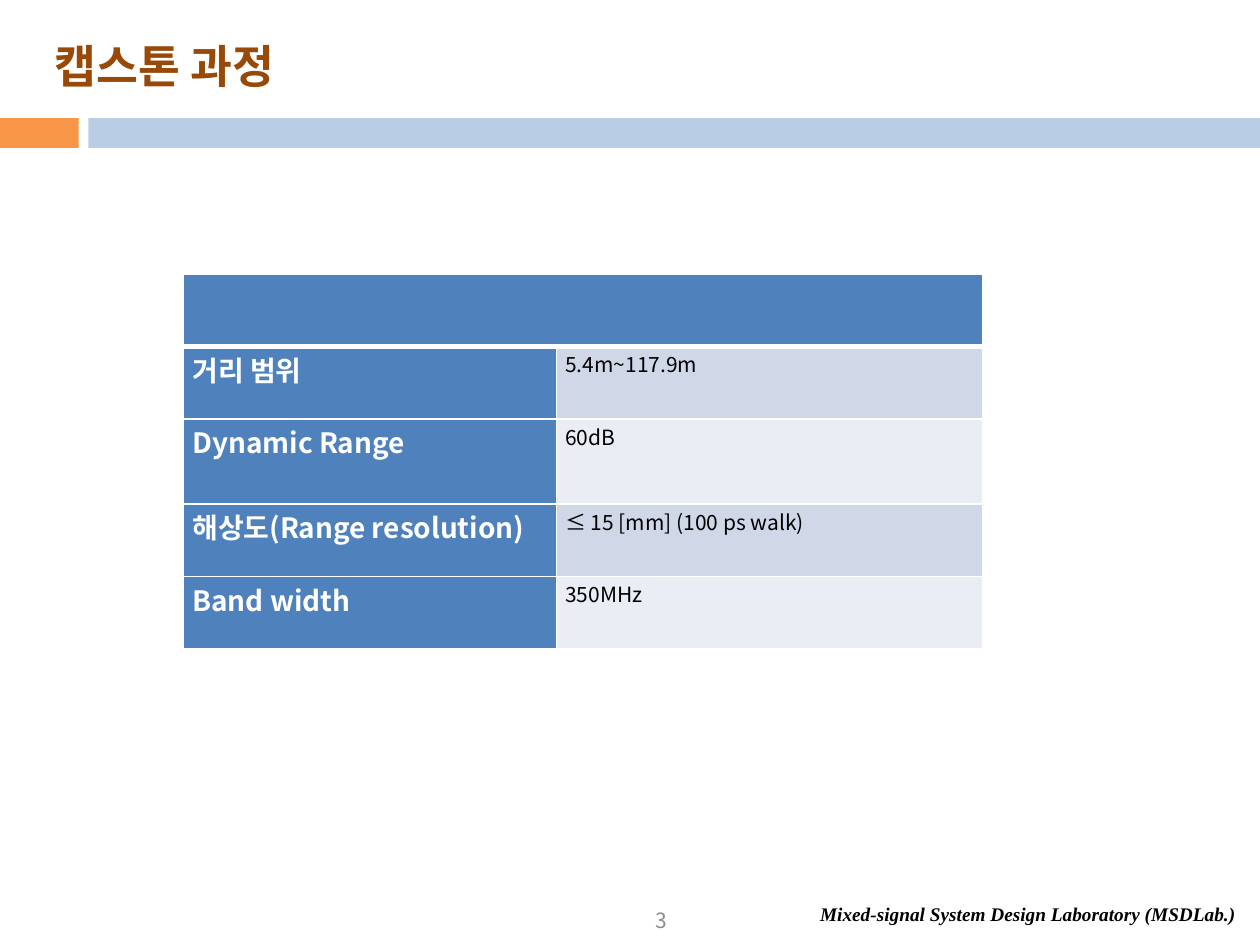
from dataclasses import dataclass

from lxml.etree import SubElement
from pptx import Presentation
from pptx.dml.color import RGBColor
from pptx.enum.shapes import MSO_SHAPE
from pptx.enum.text import MSO_ANCHOR, PP_ALIGN
from pptx.oxml import parse_xml
from pptx.oxml.ns import nsdecls, qn
from pptx.util import Pt


@dataclass(frozen=True)
class Theme:
    sans: str = "Noto Sans CJK KR"
    serif: str = "Times New Roman"
    title: str = "984807"
    accent: str = "F79646"
    band: str = "B9CDE5"
    header: str = "4F81BD"
    stripes: tuple = ("D0D8E8", "E9EDF4")
    white: str = "FFFFFF"
    black: str = "000000"
    grey: str = "8C8C8C"
    title_size: int = 26
    label_size: int = 16
    value_size: int = 12
    footer_size: int = 11


THEME = Theme()
PAGE_WIDTH, PAGE_HEIGHT = 720, 540
SPECIFICATIONS = [
    ("거리 범위", "5.4m~117.9m"),
    ("Dynamic Range", "60dB"),
    ("해상도(Range resolution)", "≤ 15 [mm] (100 ps walk)"),
    ("Band width", "350MHz"),
]
COLUMN_WIDTHS = (213, 243.5)
ROW_HEIGHTS = (41.5, 41.5, 48.5, 41.5, 41.5)


def write_text(frame, text, *, size, color, font=THEME.sans, bold=False, italic=False,
               align=PP_ALIGN.LEFT, line_spacing=None, space_after=None):
    para = frame.paragraphs[0]
    para.alignment = align
    para.line_spacing = line_spacing
    para.space_after = space_after
    span = para.add_run()
    span.text = text
    span.font.name = font
    span.font.size = Pt(size)
    span.font.bold = bold
    span.font.italic = italic
    span.font.color.rgb = RGBColor.from_string(color)
    # East Asian glyphs take their typeface from a separate element.
    SubElement(span._r.get_or_add_rPr(), qn("a:ea")).set("typeface", font)


def add_text_box(page, box, text, *, anchor=MSO_ANCHOR.TOP, **text_format):
    frame = page.shapes.add_textbox(*map(Pt, box)).text_frame
    frame.word_wrap = True
    frame.vertical_anchor = anchor
    write_text(frame, text, **text_format)


def add_bar(page, box, color):
    bar = page.shapes.add_shape(MSO_SHAPE.RECTANGLE, *map(Pt, box))
    bar.shadow.inherit = False
    bar.fill.solid()
    bar.fill.fore_color.rgb = RGBColor.from_string(color)
    bar.line.fill.background()


def add_heading(page, box):
    """Title above a short accent bar and a long band."""
    left, top, width, height = box
    bar_height, accent_width, gap = 17, 45, 5.5
    bar_top = top + height - bar_height
    band_left = left + accent_width + gap
    add_text_box(page, (left + 24, top + 14.5, 684, 46), "캡스톤 과정", anchor=MSO_ANCHOR.MIDDLE,
                 size=THEME.title_size, color=THEME.title, bold=True)
    add_bar(page, (left, bar_top, accent_width, bar_height), THEME.accent)
    add_bar(page, (band_left, bar_top, left + width - band_left, bar_height), THEME.band)


def style_cell(cell, color, top=1, bottom=1):
    """Fill the cell and draw white borders; top and bottom are line widths."""
    cell.fill.solid()
    cell.fill.fore_color.rgb = RGBColor.from_string(color)
    properties = cell._tc.get_or_add_tcPr()
    borders = (("lnL", 1), ("lnR", 1), ("lnT", top), ("lnB", bottom))
    for position, (side, width) in enumerate(borders):
        properties.insert(position, parse_xml(
            f'<a:{side} {nsdecls("a")} w="{Pt(width)}"><a:solidFill>'
            f'<a:srgbClr val="{THEME.white}"/></a:solidFill></a:{side}>'))


def add_specification_table(page, box):
    table = page.shapes.add_table(len(ROW_HEIGHTS), len(COLUMN_WIDTHS), *map(Pt, box)).table
    for column, width in zip(table.columns, COLUMN_WIDTHS):
        column.width = Pt(width)
    for row, height in zip(table.rows, ROW_HEIGHTS):
        row.height = Pt(height)
    for cell in table.rows[0].cells:
        style_cell(cell, THEME.header, bottom=3)
    table.cell(0, 0).merge(table.cell(0, 1))

    for index, texts in enumerate(SPECIFICATIONS):
        colors = (THEME.header, THEME.stripes[index % 2])
        formats = (dict(size=THEME.label_size, color=THEME.white, bold=True),
                   dict(size=THEME.value_size, color=THEME.black))
        for cell, text, color, text_format in zip(table.rows[index + 1].cells, texts, colors, formats):
            style_cell(cell, color, top=3 if index == 0 else 1)
            cell.margin_left = cell.margin_right = Pt(5)
            cell.margin_top = cell.margin_bottom = Pt(0)
            write_text(cell.text_frame, text, align=PP_ALIGN.JUSTIFY, line_spacing=1.06,
                       space_after=Pt(8), **text_format)


def add_footer(page, box):
    left, top, width, height = box
    laboratory_width = 258.5
    add_text_box(page, (left + width - laboratory_width, top + 1, laboratory_width, 21),
                 "Mixed-signal System Design Laboratory (MSDLab.)", size=THEME.footer_size,
                 color=THEME.black, font=THEME.serif, bold=True, italic=True)
    add_text_box(page, (left + 220, top, 168, height), "3", anchor=MSO_ANCHOR.MIDDLE,
                 size=THEME.value_size, color=THEME.grey, align=PP_ALIGN.RIGHT)


def main():
    deck = Presentation()
    deck.slide_width, deck.slide_height = Pt(PAGE_WIDTH), Pt(PAGE_HEIGHT)
    page = deck.slides.add_slide(deck.slide_layouts[6])
    add_heading(page, (0, 0, PAGE_WIDTH, 84.5))
    add_footer(page, (0, 511, PAGE_WIDTH, 29))
    add_specification_table(page, (105, 156.5, sum(COLUMN_WIDTHS), sum(ROW_HEIGHTS)))
    deck.save("out.pptx")


if __name__ == "__main__":
    main()
